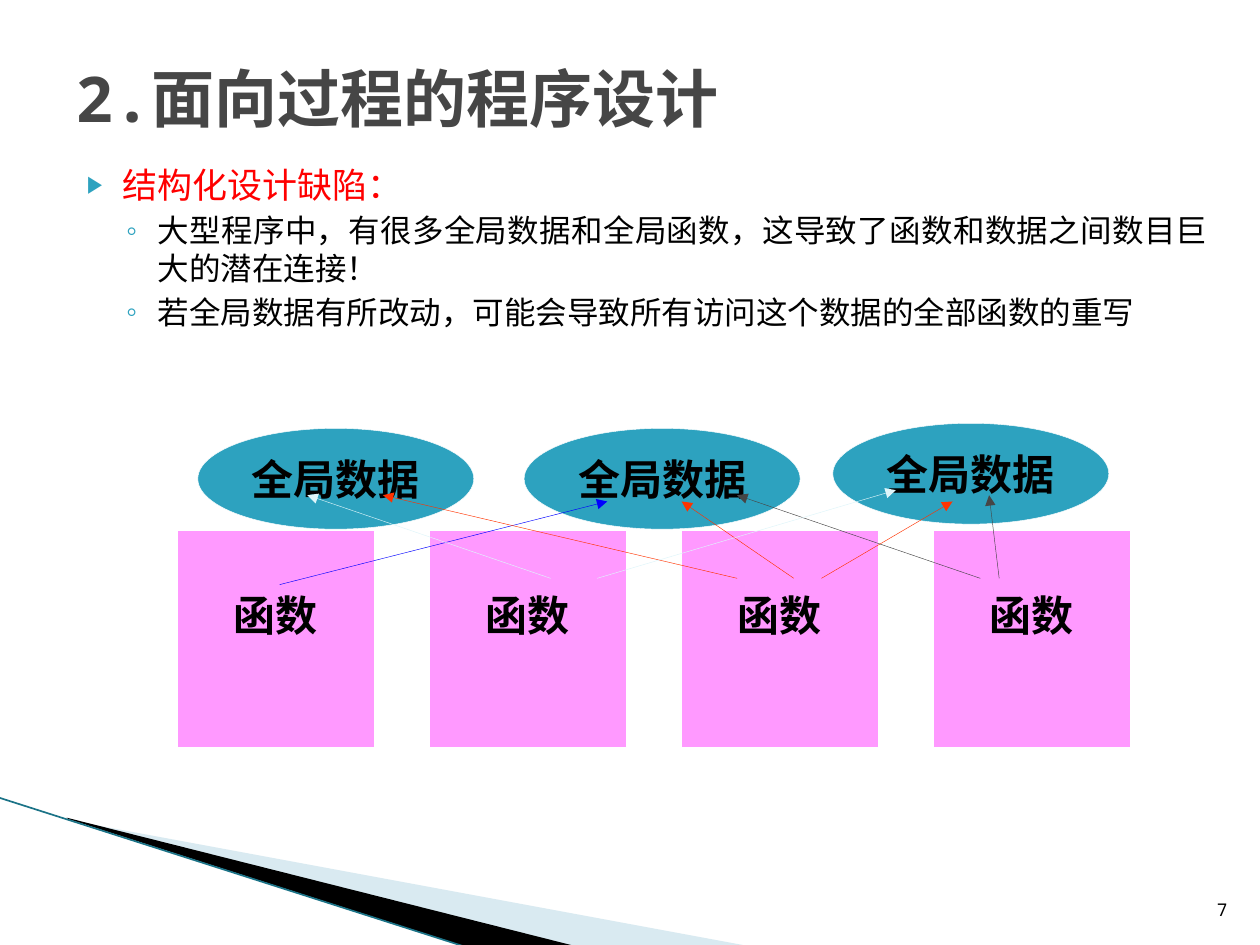
from typing import NamedTuple

from lxml.etree import SubElement
from pptx import Presentation
from pptx.dml.color import RGBColor
from pptx.enum.shapes import MSO_CONNECTOR as Conn, MSO_SHAPE as Shape
from pptx.enum.text import MSO_ANCHOR as Anchor, MSO_AUTO_SIZE as Auto, PP_ALIGN as Align
from pptx.oxml.ns import qn
from pptx.util import Inches, Pt

COLORS = {
    "teal": "2DA2BF", "pink": "FF99FF", "white": "FFFFFF", "black": "000000",
    "gray": "464646", "red": "FF0000", "orange": "FF3300", "blue": "0000FF",
    "pale": "DEF5FA", "wedge": "A0CBDC", "edge": "1B7387",
}
MONO, SERIF = "Noto Sans Mono", "Times New Roman"


class Item(NamedTuple):
    text: str
    level: int
    size: int
    font: str
    color: str
    before: float
    margin: float
    hanging: float
    bullet: str
    bullet_pct: int


class Node(NamedTuple):
    text: str
    kind: Shape
    fill: str
    left: float
    top: float
    width: float
    height: float
    bottom_inset: float


class Arrow(NamedTuple):
    start: tuple[float, float]
    end: tuple[float, float]
    color: str


ITEMS = [
    Item("结构化设计缺陷：", 0, 20, SERIF, "red", 0, 0.4, 0.28, "▶", 68),
    Item("大型程序中，有很多全局数据和全局函数，这导致了函数和数据之间数目巨大的潜在连接！",
         1, 18, MONO, "black", 3.2, 0.68, 0.25, "◦", 100),
    Item("若全局数据有所改动，可能会导致所有访问这个数据的全部函数的重写",
         1, 18, MONO, "black", 3.2, 0.68, 0.25, "◦", 100),
]
DATA = [Node("全局数据", Shape.OVAL, "teal", x, y, 2.19, 0.8, 0.05)
        for x, y in ((1.57, 3.4), (4.16, 3.4), (6.61, 3.36))]
FUNCTIONS = [Node("函数", Shape.RECTANGLE, "pink", 1.41 + 2 * i, 4.21, 1.56, 1.72, 0.43)
             for i in range(4)]
ARROWS = [
    Arrow((2.22, 4.64), (4.82, 3.98), "blue"),
    Arrow((5.85, 4.59), (3.04, 3.93), "orange"),
    Arrow((6.3, 4.59), (5.41, 3.98), "orange"),
    Arrow((6.52, 4.59), (7.56, 3.98), "orange"),
    Arrow((7.78, 4.59), (5.85, 3.93), "gray"),
    Arrow((7.93, 4.59), (7.85, 3.93), "gray"),
    Arrow((4.37, 4.59), (2.44, 3.93), "pale"),
    Arrow((4.74, 4.59), (7.11, 3.89), "pale"),
]


def rgb(name: str) -> RGBColor:
    return RGBColor.from_string(COLORS[name])


def place(sp, left: float, top: float, width: float, height: float) -> None:
    sp.left, sp.top = Inches(left), Inches(top)
    sp.width, sp.height = Inches(width), Inches(height)


def style(p, size: int, font: str, color: str, bold: bool = False) -> None:
    for r in p.runs:
        r.font.size, r.font.name, r.font.bold = Pt(size), font, bold
        r.font.color.rgb = rgb(color)


def add_wedge(shapes, points: list[tuple[float, float]], color: str, alpha: int) -> None:
    fb = shapes.build_freeform(Inches(points[0][0]), Inches(points[0][1]))
    fb.add_line_segments([(Inches(x), Inches(y)) for x, y in points[1:]])
    sp = fb.convert_to_shape()
    sp.shadow.inherit = False
    sp.fill.solid()
    sp.fill.fore_color.rgb = rgb(color)
    sp.line.fill.background()
    if alpha < 100:
        clr = sp.fill._xPr.find(".//" + qn("a:srgbClr"))
        SubElement(clr, qn("a:alpha"), val=str(alpha * 1000))


def add_line(shapes, start: tuple[float, float], end: tuple[float, float],
             color: str, width: float, arrow: bool = False) -> None:
    points = [Inches(v) for v in (*start, *end)]
    line = shapes.add_connector(Conn.STRAIGHT, *points)
    line.line.color.rgb = rgb(color)
    line.line.width = Pt(width)
    if arrow:
        SubElement(line.line._get_or_add_ln(), qn("a:tailEnd"), type="triangle")
    SubElement(line._element.spPr, qn("a:effectLst"))


def add_node(shapes, node: Node) -> None:
    box = [Inches(v) for v in (node.left, node.top, node.width, node.height)]
    sp = shapes.add_shape(node.kind, *box)
    sp.shadow.inherit = False
    sp.fill.solid()
    sp.fill.fore_color.rgb = rgb(node.fill)
    sp.line.color.rgb = rgb("white")
    sp.line.width = Pt(0.25)
    tf = sp.text_frame
    tf.word_wrap = False
    tf.vertical_anchor = Anchor.MIDDLE
    tf.margin_bottom = Inches(node.bottom_inset)
    tf.text = node.text
    p = tf.paragraphs[0]
    p.alignment = Align.CENTER
    style(p, 24, SERIF, "black", True)


def add_item(p, item: Item) -> None:
    p.text = item.text
    p.level = item.level
    pPr = p._p.get_or_add_pPr()
    pPr.set("marL", str(Inches(item.margin)))
    pPr.set("indent", str(-Inches(item.hanging)))
    SubElement(SubElement(pPr, qn("a:buClr")), qn("a:srgbClr"), val=COLORS["teal"])
    SubElement(pPr, qn("a:buSzPct"), val=str(item.bullet_pct * 1000))
    SubElement(pPr, qn("a:buChar"), char=item.bullet)
    p.alignment = Align.JUSTIFY
    p.space_before = Pt(item.before)
    style(p, item.size, item.font, item.color)


def main() -> None:
    prs = Presentation()
    prs.slide_width, prs.slide_height = Inches(10), Inches(7.5)
    s = prs.slides.add_slide(prs.slide_layouts[1])

    add_wedge(s.shapes, [(0.55, 6.51), (5.95, 7.51), (4.56, 7.51), (0.55, 6.5)], "wedge", 40)
    add_wedge(s.shapes, [(0.53, 6.49), (4.57, 7.51), (3.72, 7.52), (0.54, 6.5)], "black", 100)
    add_line(s.shapes, (-0.01, 6.33), (3.71, 7.52), "edge", 0.95)

    title = s.shapes.title
    place(title, 0.5, 0.3, 9, 0.95)
    tf = title.text_frame
    tf.text = "2.面向过程的程序设计"
    tf.auto_size = Auto.NONE
    tf.vertical_anchor = Anchor.MIDDLE
    tf.paragraphs[0].alignment = Align.LEFT
    style(tf.paragraphs[0], 36, MONO, "gray", True)

    body = s.placeholders[1]
    place(body, 0.47, 1.25, 9.22, 1.8)
    tf = body.text_frame
    tf.auto_size = Auto.NONE
    for i, item in enumerate(ITEMS):
        add_item(tf.add_paragraph() if i else tf.paragraphs[0], item)

    number = s.shapes.add_textbox(Inches(7.27), Inches(6.95), Inches(2.57), Inches(0.4))
    tf = number.text_frame
    tf.word_wrap = True
    tf.vertical_anchor = Anchor.BOTTOM
    tf.text = "7"
    tf.paragraphs[0].alignment = Align.RIGHT
    style(tf.paragraphs[0], 10, MONO, "black")

    diagram = s.shapes.add_group_shape().shapes
    for node in DATA + FUNCTIONS:
        add_node(diagram, node)
    for arrow in ARROWS:
        add_line(diagram, arrow.start, arrow.end, arrow.color, 0.25, True)

    prs.save("out.pptx")


if __name__ == "__main__":
    main()
